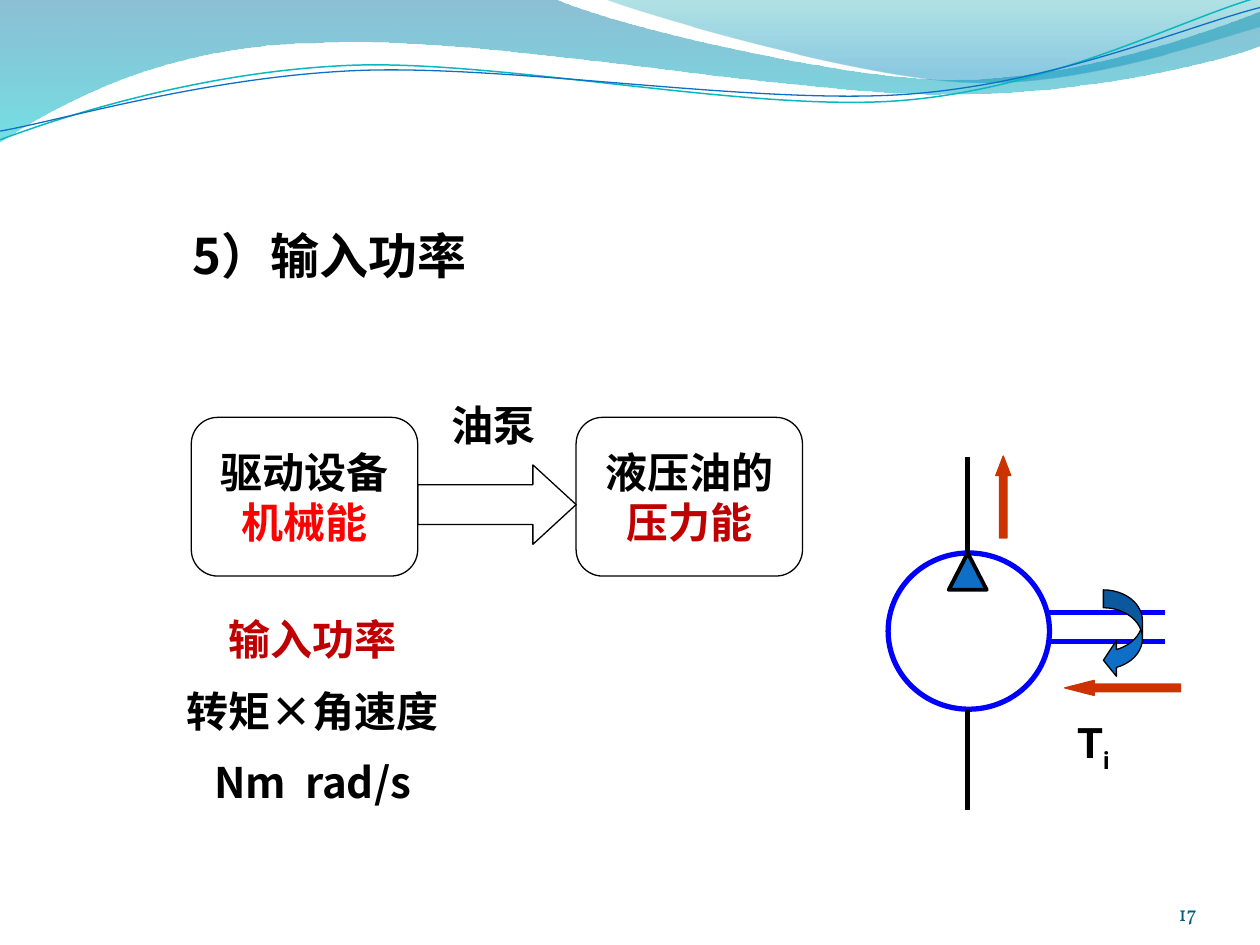
from lxml import etree
from pptx import Presentation
from pptx.dml.color import RGBColor
from pptx.enum.shapes import MSO_CONNECTOR, MSO_SHAPE
from pptx.enum.text import MSO_ANCHOR, MSO_AUTO_SIZE, PP_ALIGN
from pptx.oxml.ns import qn
from pptx.util import Pt

LEFT, MID, RIGHT = PP_ALIGN.LEFT, PP_ALIGN.CENTER, PP_ALIGN.RIGHT
TOP, CENTER, BOTTOM = MSO_ANCHOR.TOP, MSO_ANCHOR.MIDDLE, MSO_ANCHOR.BOTTOM
ROUND, CIRCLE, PEAK = MSO_SHAPE.ROUNDED_RECTANGLE, MSO_SHAPE.OVAL, MSO_SHAPE.ISOSCELES_TRIANGLE
NEXT, UP, BACK = MSO_SHAPE.RIGHT_ARROW, MSO_SHAPE.UP_ARROW, MSO_SHAPE.LEFT_ARROW
TURN = MSO_SHAPE.CURVED_LEFT_ARROW
STRAIGHT, NO_FIT = MSO_CONNECTOR.STRAIGHT, MSO_AUTO_SIZE.NONE

THEME = {
    "ink": "000000", "blue": "0000FF", "fill": "0F6FC6", "teal": "0AB8BF",
    "flow": "CC3300", "red": "FF0000", "dark": "C00000", "page": "045D75",
    "cjk": "Noto Sans CJK SC", "latin": "Roboto", "serif": "Vollkorn",
    "head": 28, "body": 24, "note": 12, "lead": 1.2, "gap": 12,
    "thin": 0.75, "thick": 3,
}

# Each wave: start point, then steps of one point (line) or three (curve)
BANDS = [
    ((0, -0.7), [
        [(316.8, -0.7)],
        [(342.7, 12.2), (478.1, 45.4), (545.8, 45.4)],
        [(614.2, 45.4), (689.8, 18.7), (720, 6.5)],
        [(720.7, 26)],
        [(707.8, 31.7), (626.4, 54.7), (537.1, 54)],
        [(447.8, 54), (275, 20.2), (185, 24.5)],
        [(92.9, 25.2), (33.1, 59.8), (-0.7, 81.4)],
    ], [(0, "0074A1", 45), (1, "00C6CF", 55)]),
    ((345, -0.7), [
        [(366.5, 7.9), (491, 44.6), (553.7, 46.8)],
        [(616.3, 49.7), (691.9, 23), (720, 15.1)],
        [(720, 0)],
    ], [(0, "00A1A9", 30), (0.8, "008BBF", 45)]),
]
WIRES = [
    ((0, 79.9), [
        [(34.6, 67), (113.8, 41), (199.4, 37.4)],
        [(284.4, 33.8), (427, 64.1), (513.4, 57.6)],
        [(599.8, 51.1), (675.4, 10.8), (718.6, -1.4)],
    ], "teal", 0.85),
    ((0, 74.9), [
        [(33.8, 69.1), (118.1, 43.9), (203.8, 40.3)],
        [(290.2, 36.7), (429.8, 59.8), (516.2, 54)],
        [(601.9, 48.2), (677.5, 15.1), (720, 4.3)],
    ], "fill", 0.75),
]

TITLE = "5）输入功率"
STAGES = [
    [[("驱动设备", "ink")], [("机械能", "red")]],
    [[("液压油的", "ink")], [("压力能", "dark")]],
]
PUMP = [[("油泵", "ink")]]
POWER = [[("输入功率", "dark")], [("转矩×角速度", "ink")], [("Nm  rad/s", "ink")]]
TORQUE = [[("T", "ink"), ("i", "ink", -25000)]]
PAGE = [[("17", "page")]]

BOX_X, BOX_Y, BOX_W, BOX_H, LINK_W, LINK_H = 109.3, 238.5, 129.4, 90.7, 90.5, 45.4
RING_X, RING_Y, RING_W, RING_H = 507.5, 316, 92.2, 89.3


def tint(name):
    return RGBColor.from_string(THEME.get(name, name))


def write(shape, rows, size="body", font="cjk", bold=True, align=LEFT, anchor=TOP,
          wrap=True, gap=0, fixed=True, inset=(7.2, 3.6, 7.2, 3.6)):
    """Fill a shape with rows of (text, colour[, baseline]) runs."""
    frame = shape.text_frame
    frame.auto_size = NO_FIT
    frame.word_wrap, frame.vertical_anchor = wrap, anchor
    (frame.margin_left, frame.margin_top,
     frame.margin_right, frame.margin_bottom) = map(Pt, inset)
    for i, row in enumerate(rows):
        para = frame.add_paragraph() if i else frame.paragraphs[0]
        para.alignment = align
        if fixed:
            para.line_spacing = Pt(THEME[size] * THEME["lead"])
        para.space_before = Pt(gap if i else 0)
        for text, color, *base in row:
            run = para.add_run()
            run.text = text
            face = run.font
            face.size, face.bold, face.name = Pt(THEME[size]), bold, THEME[font]
            face.color.rgb = tint(color)
            props = run._r.get_or_add_rPr()
            etree.SubElement(props, qn("a:ea")).set("typeface", THEME[font])
            if base:
                props.set("baseline", str(base[0]))


def label(slide, box, rows, **look):
    write(slide.shapes.add_textbox(*map(Pt, box)), rows, **look)


def paint(shape, fill=None, line=None, width=THEME["thin"]):
    shape.shadow.inherit = False
    if fill:
        shape.fill.solid()
        shape.fill.fore_color.rgb = tint(fill)
    else:
        shape.fill.background()
    if line:
        shape.line.color.rgb = tint(line)
        shape.line.width = Pt(width)
    else:
        shape.line.fill.background()


def form(slide, kind, box, adjust=(), **look):
    shape = slide.shapes.add_shape(kind, *map(Pt, box))
    for i, value in enumerate(adjust):
        shape.adjustments[i] = value
    paint(shape, **look)
    return shape


def bend(shape, steps):
    """Join each step of three line points into one cubic curve."""
    lines = shape._element.spPr.iter(qn("a:lnTo"))
    marks = iter(list(lines))
    for step in steps:
        first, *rest = [next(marks) for _ in step]
        if rest:
            curve = etree.Element(qn("a:cubicBezTo"))
            first.addprevious(curve)
            for mark in (first, *rest):
                curve.append(mark[0])
                mark.getparent().remove(mark)


def wave(slide, start, steps, close, **look):
    points = [(Pt(x), Pt(y)) for x, y in [start, *sum(steps, [])]]
    pen = slide.shapes.build_freeform(*points[0])
    pen.add_line_segments(points[1:], close=close)
    shape = pen.convert_to_shape()
    bend(shape, steps)
    paint(shape, **look)
    return shape


def shade(shape, stops):
    """Fade from top to bottom through (place, colour, opacity) stops."""
    shape.fill.gradient()
    shape.fill.gradient_angle = 270
    for stop, (place, color, alpha) in zip(shape.fill.gradient_stops, stops):
        stop.position = place
        stop.color.rgb = tint(color)
    marks = shape._element.spPr.iter(qn("a:srgbClr"))
    for mark, (place, color, alpha) in zip(marks, stops):
        etree.SubElement(mark, qn("a:alpha")).set("val", str(alpha * 1000))


def rule(slide, ends, color):
    line = slide.shapes.add_connector(STRAIGHT, *map(Pt, ends))
    line.line.color.rgb = tint(color)
    line.line.width = Pt(THEME["thick"])
    etree.SubElement(line._element.spPr, qn("a:effectLst"))


def draw_pump(slide):
    mid, right, base = 553, RING_X + RING_W, RING_Y + RING_H
    form(slide, CIRCLE, (RING_X, RING_Y, RING_W, RING_H), line="blue", width=THEME["thick"])
    form(slide, PEAK, (mid - 10.8, RING_Y, 21.6, 21), fill="fill", line="ink", width=2.25)
    for y in (349.9, 366.7):
        rule(slide, (right, y, 665.7, y), "blue")
    for top, end in ((261, RING_Y), (base, 463)):
        rule(slide, (mid, top, mid, end), "ink")
    form(slide, TURN, (630.5, 337.1, 22.3, 50.4), (0.457, 0.913, 0.333), fill="fill", line="ink")
    form(slide, UP, (569, 260.6, 8.6, 46.8), (0.5, 1.3), fill="flow", line="flow")
    form(slide, BACK, (608.4, 388.8, 66.2, 8.6), (0.5, 1.96), fill="flow", line="flow")
    label(slide, (608.4, 406, 47.5, 36), TORQUE, font="latin", fixed=False)


def draw_flow(slide):
    form(slide, NEXT, (BOX_X + BOX_W, BOX_Y + (BOX_H - LINK_H) / 2 + 4.5, LINK_W, LINK_H),
         (0.5, 0.544), line="ink")
    for i, rows in enumerate(STAGES):
        box = (BOX_X + i * (BOX_W + LINK_W), BOX_Y, BOX_W, BOX_H)
        write(form(slide, ROUND, box, (0.167,), line="ink"), rows,
              align=MID, anchor=CENTER, wrap=False)
    label(slide, (96.5, 347.2, 164.2, 128.2), POWER, align=MID, gap=THEME["gap"])
    label(slide, (250.9, 224.6, 64.8, 36.7), PUMP)


def main():
    deck = Presentation()
    deck.slide_width, deck.slide_height = Pt(720), Pt(540)
    slide = deck.slides.add_slide(deck.slide_layouts[5])
    for start, steps, stops in BANDS:
        shade(wave(slide, start, steps, True), stops)
    for start, steps, color, width in WIRES:
        wave(slide, start, steps, False, line=color, width=width)
    title = slide.shapes.title
    title.left, title.top, title.width, title.height = map(Pt, (72, 125.3, 599.8, 48.2))
    write(title, [[(TITLE, "ink")]], size="head", inset=(38, 3.6, 7.2, 3.6))
    draw_pump(slide)
    draw_flow(slide)
    label(slide, (624.2, 500.4, 59.8, 28.8), PAGE, size="note", font="serif",
          bold=False, align=RIGHT, anchor=BOTTOM, inset=(0, 0, 0, 0))
    deck.save("out.pptx")


if __name__ == "__main__":
    main()
